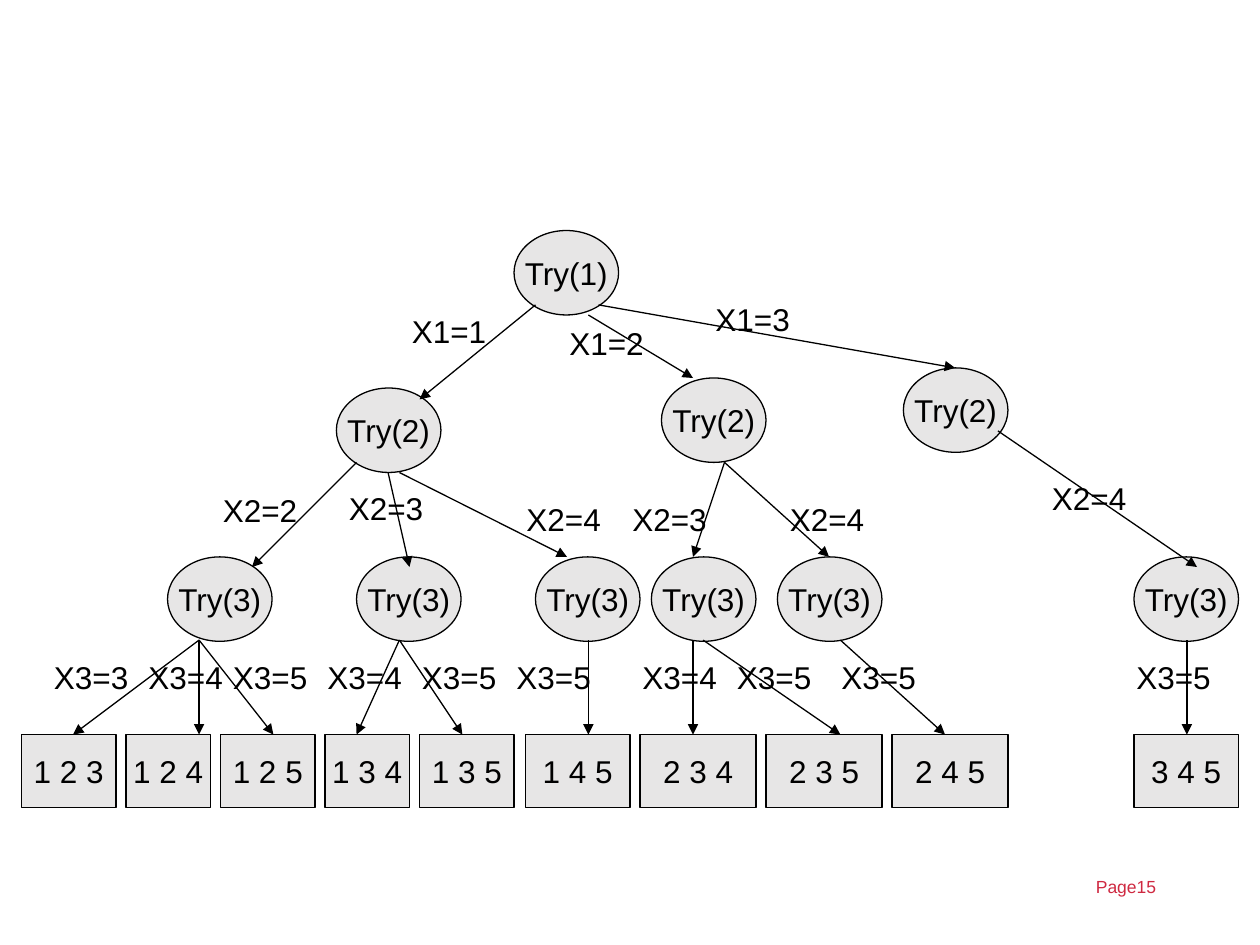
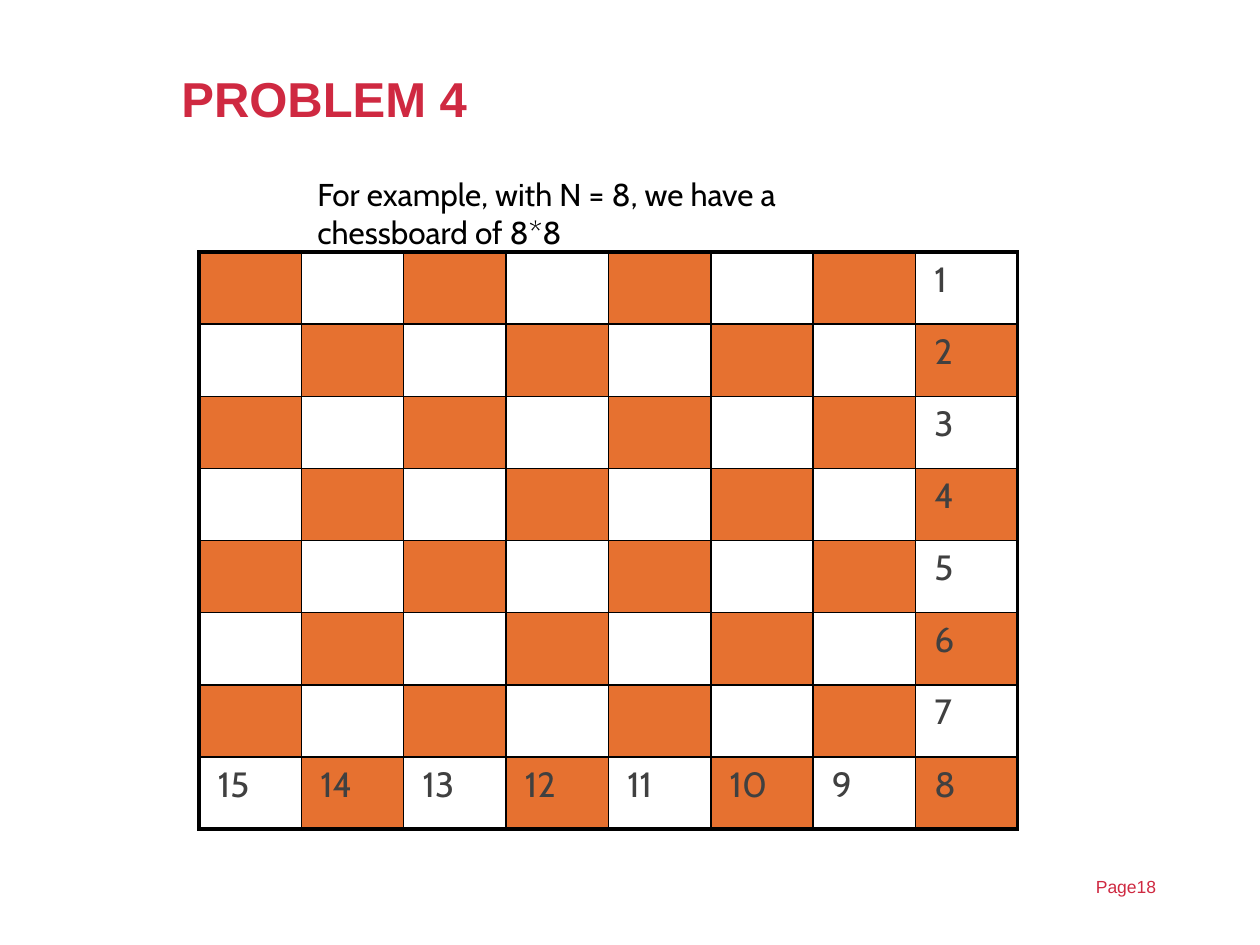
from dataclasses import dataclass
from itertools import combinations

from lxml.etree import SubElement
from pptx import Presentation
from pptx.dml.color import RGBColor
from pptx.enum.shapes import MSO_CONNECTOR, MSO_SHAPE
from pptx.enum.text import MSO_ANCHOR, PP_ALIGN
from pptx.oxml.ns import qn
from pptx.util import Inches, Pt


@dataclass(frozen=True)
class Theme:
    accent: RGBColor = RGBColor.from_string("CF2941")
    ink: RGBColor = RGBColor.from_string("000000")
    number: RGBColor = RGBColor.from_string("404040")
    node: RGBColor = RGBColor.from_string("E7E6E6")
    square: RGBColor = RGBColor.from_string("E67130")
    font: str = "Arial"
    board_font: str = "Cabin"
    title_size: int = 28
    number_size: int = 20
    text_size: int = 18
    page_size: int = 10
    thin: float = 0.75
    grid: float = 1
    frame: float = 2.25


theme = Theme()


def write(frame, text, size=theme.text_size, colour=theme.ink, font=theme.font):
    paragraph = frame.paragraphs[0]
    paragraph.text = text
    paragraph.font.name = font
    paragraph.font.size = Pt(size)
    paragraph.font.color.rgb = colour
    return paragraph


def add_label(slide, box, text, **style):
    frame = slide.shapes.add_textbox(*map(Inches, box)).text_frame
    frame.word_wrap = True
    write(frame, text, **style)


prs = Presentation()
prs.slide_width, prs.slide_height = Inches(10), Inches(7.5)
title_only, blank = prs.slide_layouts[5], prs.slide_layouts[6]
tree_slide = prs.slides.add_slide(blank)
board_slide = prs.slides.add_slide(title_only)

# Page numbers
for slide, page in ((tree_slide, 15), (board_slide, 18)):
    add_label(slide, (8.6, 6.9, 1.2, 0.28), f"Page{page}",
              size=theme.page_size, colour=theme.accent)

# Choices of the search tree: label, label position, arrow start, arrow end
choices = [
    ("X1=1", (3.17, 2.43), (4.25, 2.42), (3.33, 3.17)),
    ("X1=2", (4.42, 2.52), (4.67, 2.5), (5.5, 3)),
    ("X1=3", (5.58, 2.33), (4.75, 2.42), (7.58, 2.92)),
    ("X2=2", (1.67, 3.85), (2.83, 3.67), (2, 4.5)),
    ("X2=3", (2.67, 3.83), (3.08, 3.75), (3.25, 4.5)),
    ("X2=4", (4.08, 3.92), (3.17, 3.75), (4.5, 4.42)),
    ("X2=3", (4.92, 3.92), (5.75, 3.67), (5.5, 4.42)),
    ("X2=4", (6.17, 3.92), (5.75, 3.67), (6.58, 4.42)),
    ("X2=4", (8.25, 3.75), (7.92, 3.42), (9.5, 4.5)),
]

# Last choices share their heights: value, label x, start x, end x
calls_bottom, leaves_top = 5.08, 5.83
last_choices = [
    (3, 0.33, 1.58, 0.58), (4, 1.08, 1.58, 1.58), (5, 1.75, 1.58, 2.17),
    (4, 2.5, 3.17, 2.83), (5, 3.25, 3.17, 3.67), (5, 4, 4.67, 4.67),
    (4, 5, 5.5, 5.5), (5, 5.75, 5.58, 6.67), (5, 6.58, 6.67, 7.5),
    (5, 8.92, 9.42, 9.42),
]
for value, label_x, start_x, end_x in last_choices:
    choices.append((f"X3={value}", (label_x, 5.17),
                    (start_x, calls_bottom), (end_x, leaves_top)))

for choice, position, _, _ in choices:
    add_label(tree_slide, (*position, 0.92, 0.4), choice)

# Recursive calls (ellipses) and found combinations (boxes)
calls = {
    1: [(4.08, 1.83)],
    2: [(2.67, 3.08), (5.25, 3), (7.17, 2.92)],
    3: [(x, 4.42) for x in (1.33, 2.83, 4.25, 5.17, 6.17, 9)],
}
nodes = [(MSO_SHAPE.OVAL, (*position, 0.83, 0.67), f"Try({depth})")
         for depth, positions in calls.items() for position in positions]

leaf_spans = [(0.17, 0.75), (1, 0.67), (1.75, 0.75), (2.58, 0.67), (3.33, 0.75),
              (4.17, 0.83), (5.08, 0.92), (6.08, 0.92), (7.08, 0.92), (9, 0.83)]
for (left, width), combination in zip(leaf_spans, combinations("12345", 3)):
    nodes.append((MSO_SHAPE.RECTANGLE, (left, leaves_top, width, 0.58),
                  " ".join(combination)))

for outline, box, text in nodes:
    node = tree_slide.shapes.add_shape(outline, *map(Inches, box))
    node.shadow.inherit = False
    node.fill.solid()
    node.fill.fore_color.rgb = theme.node
    node.line.color.rgb = theme.ink
    node.line.width = Pt(theme.thin)
    frame = node.text_frame
    frame.word_wrap = False
    frame.vertical_anchor = MSO_ANCHOR.MIDDLE
    if outline == MSO_SHAPE.RECTANGLE:
        frame.margin_left = frame.margin_right = 0
    write(frame, text).alignment = PP_ALIGN.CENTER

# Arrows between the levels
for _, _, start, end in choices:
    arrow = tree_slide.shapes.add_connector(
        MSO_CONNECTOR.STRAIGHT, *map(Inches, (*start, *end)))
    arrow.line.color.rgb = theme.ink
    arrow.line.width = Pt(theme.thin)
    SubElement(arrow.line._get_or_add_ln(), qn("a:tailEnd"), type="triangle")
    SubElement(arrow._element.spPr, qn("a:effectLst"))

# Title of the chessboard problem
title = board_slide.shapes.title
title.left, title.top, title.width, title.height = map(Inches, (1.34, 0.4, 7.98, 0.82))
title.text_frame.vertical_anchor = MSO_ANCHOR.MIDDLE
heading = write(title.text_frame, "PROBLEM 4", theme.title_size, theme.accent)
heading.font.bold = True
heading.alignment = PP_ALIGN.LEFT
heading.line_spacing = 0.9

# Chessboard, numbered down the last column and back along the last row
n = 8
last = n - 1
board = board_slide.shapes.add_table(
    n, n, Inches(1.58), Inches(2), Inches(6.5), Inches(4.58)).table
board.first_row = board.horz_banding = False
for row in range(n):
    for column in range(n):
        square = board.cell(row, column)
        properties = square._tc.get_or_add_tcPr()
        on_frame = {"L": column == 0, "R": column == last,
                    "T": row == 0, "B": row == last}
        for side, outer in on_frame.items():
            width = Pt(theme.frame if outer else theme.grid)
            border = SubElement(properties, qn(f"a:ln{side}"), w=str(width))
            fill = SubElement(border, qn("a:solidFill"))
            SubElement(fill, qn("a:srgbClr"), val=str(theme.ink))

        if (row + column) % 2 == 0:
            square.fill.solid()
            square.fill.fore_color.rgb = theme.square
        else:
            square.fill.background()

        if column == last or row == last:
            number = write(square.text_frame, str(row + 1 + last - column),
                           theme.number_size, theme.number, theme.board_font)
            number.space_after = Pt(3)
            number._p.get_or_add_pPr().set("marL", str(Inches(0.05)))

# Introduction above the board
add_label(board_slide, (2.42, 1.34, 3.93, 0.4),
          "For example, with N = 8, we have a chessboard of 8*8",
          font=theme.board_font)

prs.save("out.pptx")
